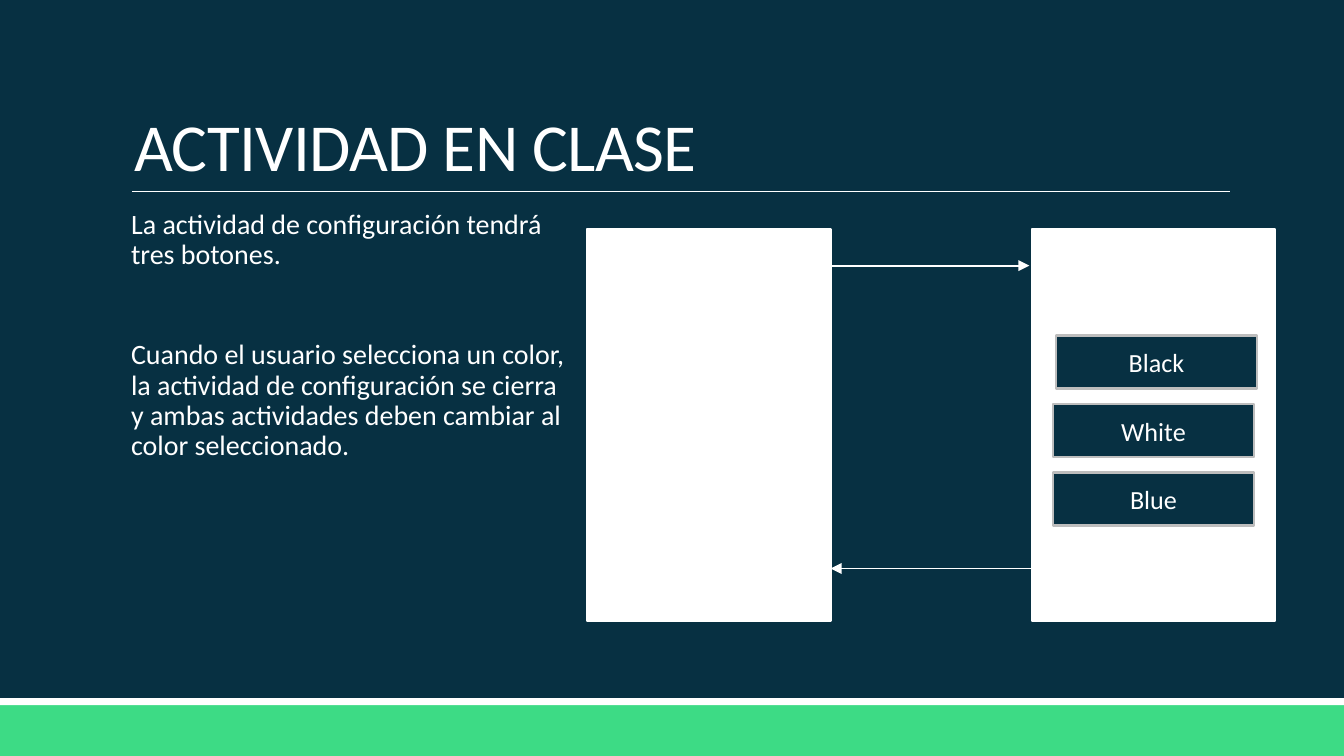
"""Build the class activity slide with two screens and three colour buttons."""
from lxml.etree import SubElement
from pptx import Presentation
from pptx.dml.color import RGBColor
from pptx.enum.shapes import MSO_CONNECTOR, MSO_SHAPE
from pptx.enum.text import MSO_ANCHOR, PP_ALIGN
from pptx.oxml.ns import qn
from pptx.util import Pt

TITLE = "ACTIVIDAD EN CLASE"
BODY = [
    "La actividad de configuración tendrá tres botones.",
    "Cuando el usuario selecciona un color, la actividad de configuración se cierra "
    "y ambas actividades deben cambiar al color seleccionado.",
]
BUTTONS = [("Black", 565.6), ("White", 564), ("Blue", 564)]
SCREEN_LEFTS = [314.6, 552.8]
ARROWS = [((440, 142.3), (551.5, 142.3)), ((553, 304.6), (445, 304.6))]

THEME = {
    "font": "Calibri",
    "background": RGBColor(0x07, 0x30, 0x42),
    "accent": RGBColor(0x3D, 0xDB, 0x85),
    "white": RGBColor(0xFF, 0xFF, 0xFF),
    "border": RGBColor(0xBD, 0xBD, 0xBD),
    "title": Pt(36),
    "body": Pt(15),
    "button": Pt(14),
}
WIDTH, HEIGHT = 720, 405
SCREEN_TOP, SCREEN_WIDTH, SCREEN_HEIGHT = 122.8, 130.4, 210
BUTTON_TOP, BUTTON_PITCH, BUTTON_WIDTH, BUTTON_HEIGHT = 179.8, 36.7, 108, 28.4
BAND_TOP, STRIPE_HEIGHT = 377.8, 3.8


def apply_format(target, values):
    for name, value in values.items():
        setattr(target, name, value)


def style_text(paragraph, size):
    apply_format(paragraph.font, {"name": THEME["font"], "size": THEME[size]})
    paragraph.font.color.rgb = THEME["white"]


def add_rectangle(slide, box, fill, border=None):
    shape = slide.shapes.add_shape(MSO_SHAPE.RECTANGLE, *map(Pt, box))
    shape.shadow.inherit = False
    shape.fill.solid()
    shape.fill.fore_color.rgb = THEME[fill]
    if border:
        shape.line.color.rgb = THEME[border]
        shape.line.width = Pt(1.25)
    else:
        shape.line.fill.background()
    return shape


def add_line(slide, start, end, width, arrow=False):
    points = map(Pt, (*start, *end))
    connector = slide.shapes.add_connector(MSO_CONNECTOR.STRAIGHT, *points)
    connector.line.color.rgb = THEME["white"]
    connector.line.width = Pt(width)
    if arrow:
        SubElement(connector.line._get_or_add_ln(), qn("a:tailEnd"), type="triangle")
    SubElement(connector._element.spPr, qn("a:effectLst"))


def add_text(slide, box, paragraphs, size, frame_format, paragraph_format):
    frame = slide.shapes.add_textbox(*map(Pt, box)).text_frame
    apply_format(frame, {"word_wrap": True, **frame_format})
    frame.text = "\n".join(paragraphs)
    for paragraph in frame.paragraphs:
        apply_format(paragraph, paragraph_format)
        style_text(paragraph, size)
    return frame


def add_button(slide, label, left, top):
    button = add_rectangle(
        slide, (left, top, BUTTON_WIDTH, BUTTON_HEIGHT), "background", "border")
    frame = button.text_frame
    frame.text = label
    frame.vertical_anchor = MSO_ANCHOR.MIDDLE
    frame.paragraphs[0].alignment = PP_ALIGN.CENTER
    style_text(frame.paragraphs[0], "button")


def main():
    presentation = Presentation()
    apply_format(presentation, {"slide_width": Pt(WIDTH), "slide_height": Pt(HEIGHT)})
    slide = presentation.slides.add_slide(presentation.slide_layouts[6])
    slide.background.fill.solid()
    slide.background.fill.fore_color.rgb = THEME["background"]

    add_rectangle(slide, (0, BAND_TOP, WIDTH, HEIGHT - BAND_TOP), "accent")
    add_rectangle(slide, (0, BAND_TOP - STRIPE_HEIGHT, WIDTH, STRIPE_HEIGHT), "white")
    add_line(slide, (70.6, 102.6), (658.8, 102.6), 0.5)

    title = add_text(slide, (64.8, 17.2, 594, 85.8), [TITLE], "title",
                     {"vertical_anchor": MSO_ANCHOR.BOTTOM}, {"line_spacing": 0.85})
    title.paragraphs[0].runs[0].font._element.set("spc", "-35")
    body = add_text(slide, (64.8, 109.1, 239, 237.6), BODY, "body",
                    {"margin_left": Pt(5.4), "margin_right": 0},
                    {"line_spacing": 0.9, "space_after": Pt(1.5)})
    body.paragraphs[1].space_before = Pt(36)

    for left in SCREEN_LEFTS:
        add_rectangle(
            slide, (left, SCREEN_TOP, SCREEN_WIDTH, SCREEN_HEIGHT), "white", "white")
    for start, end in ARROWS:
        add_line(slide, start, end, 1, arrow=True)
    for row, (label, left) in enumerate(BUTTONS):
        add_button(slide, label, left, BUTTON_TOP + row * BUTTON_PITCH)

    presentation.save("out.pptx")


if __name__ == "__main__":
    main()
